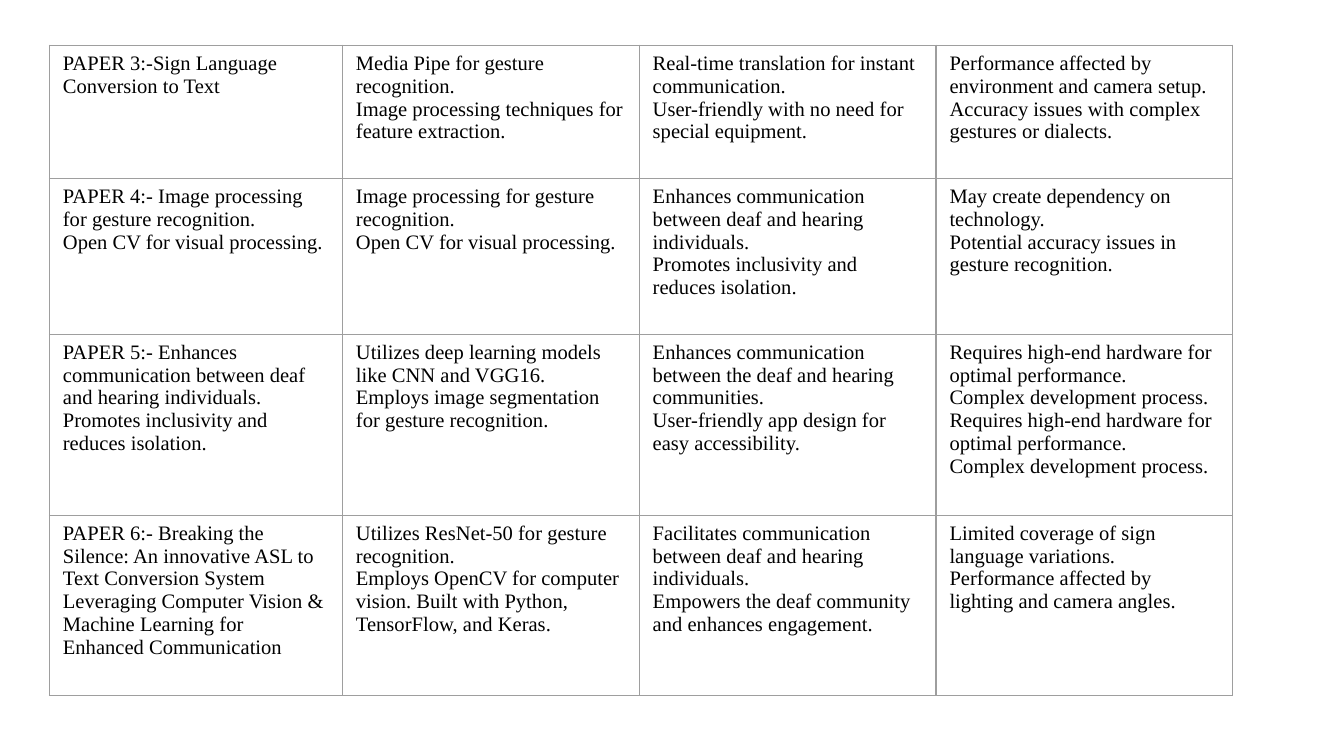
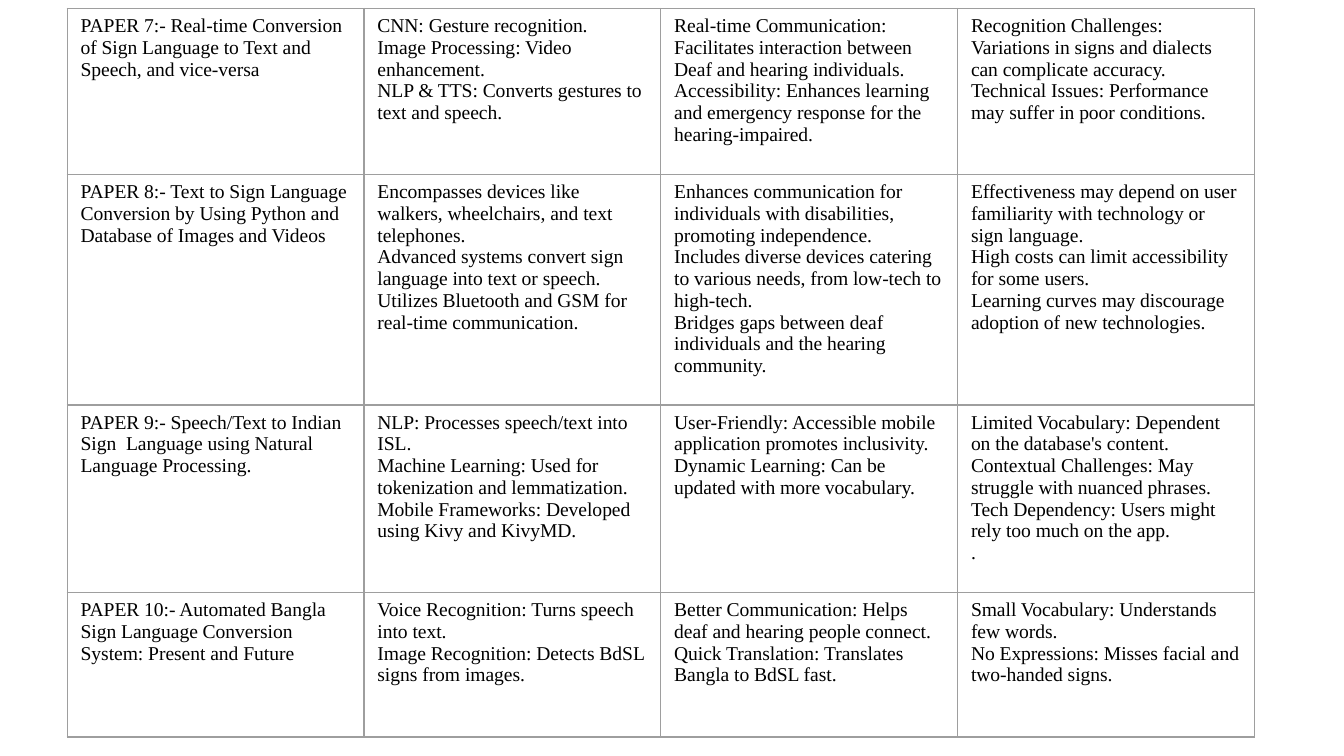
import lxml.etree
import pptx
import pptx.dml.color
import pptx.oxml.ns
import pptx.util

COLORS = {"text": "000000", "border": "9E9E9E", "background": "FFFFFF"}
FONT = "Times New Roman"
COLUMN_WIDTH = 159

PAPERS_3_TO_6 = [
    [
        ["PAPER 3:-Sign Language Conversion to Text"],
        ["Media Pipe for gesture recognition.",
         "Image processing techniques for feature extraction."],
        ["Real-time translation for instant communication.",
         "User-friendly with no need for special equipment."],
        ["Performance affected by environment and camera setup.",
         "Accuracy issues with complex gestures or dialects."],
    ],
    [
        ["PAPER 4:- Image processing for gesture recognition.",
         "Open CV for visual processing."],
        ["Image processing for gesture recognition.",
         "Open CV for visual processing."],
        ["Enhances communication between deaf and hearing individuals.",
         "Promotes inclusivity and reduces isolation."],
        ["May create dependency on technology.",
         "Potential accuracy issues in gesture recognition."],
    ],
    [
        ["PAPER 5:- Enhances communication between deaf and hearing individuals.",
         "Promotes inclusivity and reduces isolation."],
        ["Utilizes deep learning models like CNN and VGG16.",
         "Employs image segmentation for gesture recognition."],
        ["Enhances communication between the deaf and hearing communities.",
         "User-friendly app design for easy accessibility."],
        ["Requires high-end hardware for optimal performance.",
         "Complex development process."] * 2,
    ],
    [
        ["PAPER 6:- Breaking the Silence: An innovative ASL to Text Conversion System "
         "Leveraging Computer Vision & Machine Learning for Enhanced Communication"],
        ["Utilizes ResNet-50 for gesture recognition.",
         "Employs OpenCV for computer vision. Built with Python, TensorFlow, and Keras."],
        ["Facilitates communication between deaf and hearing individuals.",
         "Empowers the deaf community and enhances engagement."],
        ["Limited coverage of sign language variations.",
         "Performance affected by lighting and camera angles."],
    ],
]

PAPERS_7_TO_10 = [
    [
        ["PAPER 7:- Real-time Conversion of Sign Language to Text and Speech, and vice-versa"],
        ["CNN: Gesture recognition.",
         "Image Processing: Video enhancement.",
         "NLP & TTS: Converts gestures to text and speech."],
        ["Real-time Communication: Facilitates interaction between Deaf and hearing individuals.",
         "Accessibility: Enhances learning and emergency response for the hearing-impaired."],
        ["Recognition Challenges: Variations in signs and dialects can complicate accuracy.",
         "Technical Issues: Performance may suffer in poor conditions."],
    ],
    [
        ["PAPER 8:- Text to Sign Language Conversion by Using Python and "
         "Database of Images and Videos"],
        ["Encompasses devices like walkers, wheelchairs, and text telephones.",
         "Advanced systems convert sign language into text or speech.",
         "Utilizes Bluetooth and GSM for real-time communication."],
        ["Enhances communication for individuals with disabilities, promoting independence.",
         "Includes diverse devices catering to various needs, from low-tech to high-tech.",
         "Bridges gaps between deaf individuals and the hearing community."],
        ["Effectiveness may depend on user familiarity with technology or sign language.",
         "High costs can limit accessibility for some users.",
         "Learning curves may discourage adoption of new technologies."],
    ],
    [
        ["PAPER 9:- Speech/Text to Indian Sign  Language using Natural Language Processing."],
        ["NLP: Processes speech/text into ISL.",
         "Machine Learning: Used for tokenization and lemmatization.",
         "Mobile Frameworks: Developed using Kivy and KivyMD."],
        ["User-Friendly: Accessible mobile application promotes inclusivity.",
         "Dynamic Learning: Can be updated with more vocabulary."],
        ["Limited Vocabulary: Dependent on the database's content.",
         "Contextual Challenges: May struggle with nuanced phrases.",
         "Tech Dependency: Users might rely too much on the app.",
         "."],
    ],
    [
        ["PAPER 10:- Automated Bangla Sign Language Conversion System: Present and Future"],
        ["Voice Recognition: Turns speech into text.",
         "Image Recognition: Detects BdSL signs from images."],
        ["Better Communication: Helps deaf and hearing people connect.",
         "Quick Translation: Translates Bangla to BdSL fast."],
        ["Small Vocabulary: Understands few words.",
         "No Expressions: Misses facial and two-handed signs."],
    ],
]


def write(frame, text, size=11, font=FONT, color="text"):
    frame.word_wrap = True
    frame.text = text
    for paragraph in frame.paragraphs:
        paragraph.font.size = pptx.util.Pt(size)
        for run in paragraph.runs:
            run.font.size = pptx.util.Pt(size)
            run.font.name = font
            run.font.color.rgb = pptx.dml.color.RGBColor.from_string(COLORS[color])


class SurveyDeck:
    def __init__(self):
        self.presentation = pptx.Presentation()
        self.presentation.slide_width = pptx.util.Pt(720)
        self.presentation.slide_height = pptx.util.Pt(405)
        self.slide = None

    def add_slide(self):
        self.slide = self.presentation.slides.add_slide(self.presentation.slide_layouts[6])
        fill = self.slide.background.fill
        fill.solid()
        fill.fore_color.rgb = pptx.dml.color.RGBColor.from_string(COLORS["background"])

    def add_borders(self, cell, width=0.75):
        qn = pptx.oxml.ns.qn
        properties = cell._tc.get_or_add_tcPr()
        for side in ("a:lnL", "a:lnR", "a:lnT", "a:lnB"):
            line = lxml.etree.SubElement(properties, qn(side), w=str(pptx.util.Pt(width)))
            fill = lxml.etree.SubElement(line, qn("a:solidFill"))
            lxml.etree.SubElement(fill, qn("a:srgbClr"), val=COLORS["border"])

    def add_papers(self, papers, left, top, column_widths, row_heights, size):
        frame = self.slide.shapes.add_table(
            len(papers), len(column_widths), pptx.util.Pt(left), pptx.util.Pt(top),
            pptx.util.Pt(sum(column_widths)), pptx.util.Pt(sum(row_heights)))
        survey = frame.table
        survey.first_row = False
        survey.horz_banding = False
        for column, width in zip(survey.columns, column_widths):
            column.width = pptx.util.Pt(width)
        for row, height, paper in zip(survey.rows, row_heights, papers):
            row.height = pptx.util.Pt(height)
            for cell, points in zip(row.cells, paper):
                self.add_borders(cell)
                cell.fill.background()
                write(cell.text_frame, "\n".join(points), size=size)


def main():
    deck = SurveyDeck()
    deck.add_slide()
    deck.add_papers(PAPERS_3_TO_6, 26.5, 24.25, [157] + [COLUMN_WIDTH] * 3,
                    [71.3, 83.5, 97, 96.7], size=11)
    deck.add_slide()
    deck.add_papers(PAPERS_7_TO_10, 36, 4.5, [COLUMN_WIDTH] * 4,
                    [89, 123.5, 100.5, 77.4], size=10.5)
    deck.presentation.save("out.pptx")


if __name__ == "__main__":
    main()
